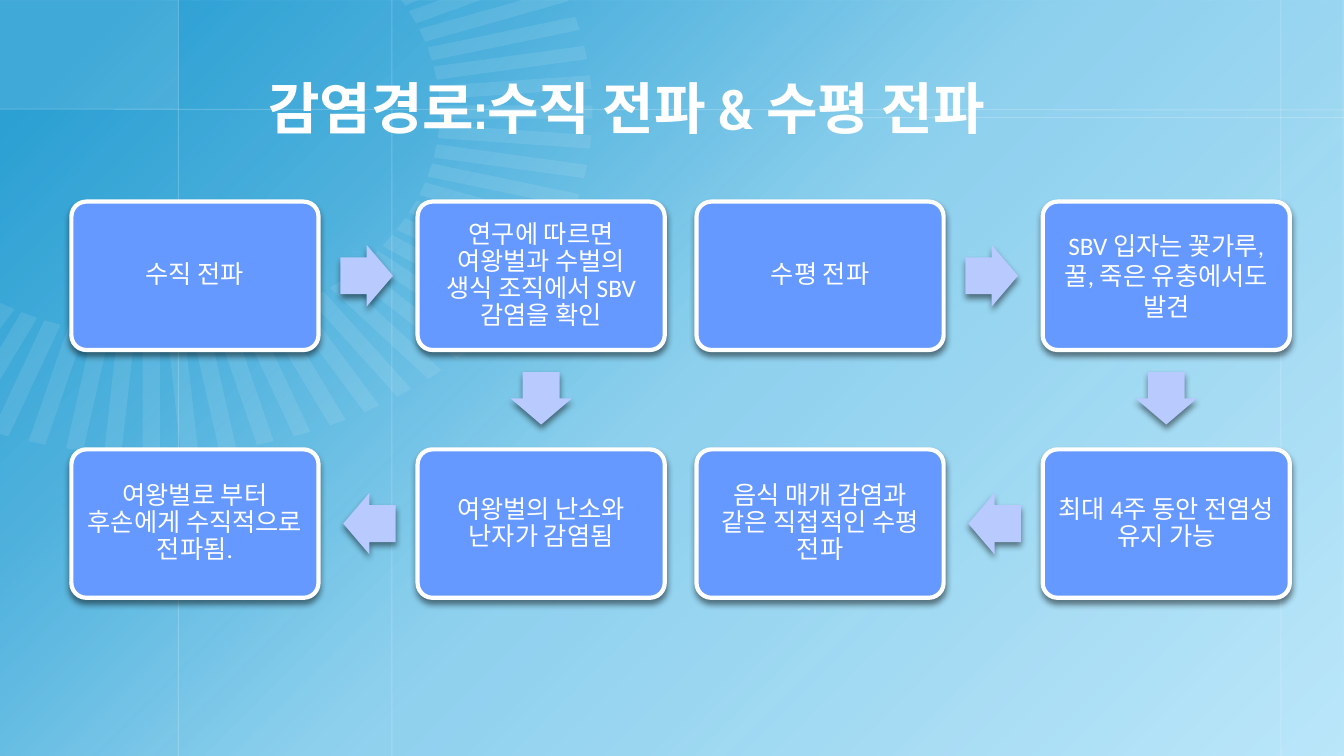
from math import cos, radians, sin

from lxml import etree
from pptx import Presentation
from pptx.dml.color import RGBColor
from pptx.enum.shapes import MSO_CONNECTOR, MSO_SHAPE
from pptx.enum.text import MSO_ANCHOR, PP_ALIGN
from pptx.oxml import parse_xml
from pptx.oxml.ns import nsdecls, qn
from pptx.util import Pt

RECT = MSO_SHAPE.RECTANGLE
CARD = MSO_SHAPE.ROUNDED_RECTANGLE
ARROW = MSO_SHAPE.RIGHT_ARROW
STRAIGHT = MSO_CONNECTOR.STRAIGHT
MIDDLE = MSO_ANCHOR.MIDDLE
CENTER = PP_ALIGN.CENTER
LEFT = PP_ALIGN.LEFT

WHITE = RGBColor(0xFF, 0xFF, 0xFF)
SKY = RGBColor(0xBC, 0xE7, 0xFA)
DEEP_BLUE = RGBColor(0x0F, 0x92, 0xCC)
RAY_TINT = RGBColor(0xF2, 0xFA, 0xFE)
CARD_BLUE = RGBColor(0x66, 0x99, 0xFF)
ARROW_BLUE = RGBColor(0xB8, 0xCA, 0xFF)

WIDTH, HEIGHT = 960, 540
CARD_W, CARD_H = 176.5, 106
ARROW_W, ARROW_H = 37.5, 44
COLUMN_STEP, ROW_STEP = 247.3, 177
TOP = 144

TITLE = "감염경로:수직 전파 & 수평 전파"
# Each route runs clockwise: top left, top right, bottom right, bottom left.
ROUTES = [
    (51, ["수직 전파",
          "연구에 따르면 여왕벌과 수벌의 생식 조직에서 SBV 감염을 확인",
          "여왕벌의 난소와 난자가 감염됨",
          "여왕벌로 부터 후손에게 수직적으로 전파됨."]),
    (497.5, ["수평 전파",
             "SBV 입자는 꽃가루, 꿀, 죽은 유충에서도 발견",
             "최대 4주 동안 전염성 유지 가능",
             "음식 매개 감염과 같은 직접적인 수평 전파"]),
]
ROOMY_CARD = ROUTES[1][1][1]


def set_alpha(sp, percent):
    color = sp.element.spPr.find(".//" + qn("a:srgbClr"))
    etree.SubElement(color, qn("a:alpha")).set("val", str(percent * 1000))


def clip(points, axis):
    """Cut a polygon off where the coordinate on the axis is negative."""
    kept = []
    for a, b in zip(points, points[1:] + points[:1]):
        if a[axis] >= 0:
            kept.append(a)
        if (a[axis] >= 0) != (b[axis] >= 0):
            t = a[axis] / (a[axis] - b[axis])
            kept.append(tuple(p + t * (q - p) for p, q in zip(a, b)))
    return kept


class Board:
    """Holds the current slide and the style of its elements."""

    title_font, body_font = "Cabin", "Calibri"
    title_size, body_size = 40, 18

    def __init__(self, slide):
        self.slide = slide
        self.shapes = slide.shapes

    def paint(self, sp, color, alpha=None):
        sp.shadow.inherit = False
        sp.fill.solid()
        sp.fill.fore_color.rgb = color
        sp.line.fill.background()
        if alpha:
            set_alpha(sp, alpha)

    def shape(self, kind, x, y, w, h, color, alpha=None):
        sp = self.shapes.add_shape(kind, Pt(x), Pt(y), Pt(w), Pt(h))
        self.paint(sp, color, alpha)
        return sp

    def gradient(self, stops):
        """Cover the slide with a diagonal fade of (position, opacity) stops."""
        sp = self.shape(RECT, 0, 0, WIDTH, HEIGHT, DEEP_BLUE)
        marks = "".join(
            f'<a:gs pos="{pos * 1000}"><a:srgbClr val="{DEEP_BLUE}">'
            f'<a:alpha val="{alpha * 1000}"/></a:srgbClr></a:gs>'
            for pos, alpha in stops)
        spPr = sp.element.spPr
        spPr.replace(spPr.find(qn("a:solidFill")), parse_xml(
            f'<a:gradFill {nsdecls("a")} rotWithShape="1"><a:gsLst>{marks}</a:gsLst>'
            '<a:lin ang="2700000" scaled="0"/></a:gradFill>'))

    def guide(self, x1, y1, x2, y2):
        line = self.shapes.add_connector(STRAIGHT, Pt(x1), Pt(y1), Pt(x2), Pt(y2))
        line.line.color.rgb = WHITE
        line.line.width = Pt(0.75)
        set_alpha(line, 20)
        etree.SubElement(line.element.spPr, qn("a:effectLst"))

    def ray(self, angle):
        """Draw one bar of the elliptical fan, cut at the slide's edges."""
        c, s = cos(radians(angle)), sin(radians(angle))
        corners = [(1, -0.03), (1.53, -0.03), (1.53, 0.03), (1, 0.03)]
        points = [(108 + 206 * (r * c - d * s), 80 + 160 * (r * s + d * c))
                  for r, d in corners]
        points = [(Pt(x), Pt(y)) for x, y in clip(clip(points, 0), 1)]
        builder = self.shapes.build_freeform(*points[0], scale=1.0)
        builder.add_line_segments(points[1:], close=True)
        self.paint(builder.convert_to_shape(), RAY_TINT, 10)

    def set_text(self, tf, text, font, size, align, bold=False):
        tf.text = text
        tf.word_wrap = True
        tf.vertical_anchor = MIDDLE
        p = tf.paragraphs[0]
        p.alignment = align
        f = p.runs[0].font
        f.name, f.size, f.bold = font, Pt(size), bold
        f.color.rgb = WHITE
        return p

    def title(self, text, x, y, w, h):
        sp = self.shapes.title
        sp.left, sp.top, sp.width, sp.height = Pt(x), Pt(y), Pt(w), Pt(h)
        sp.element.getparent().append(sp.element)  # bring in front of the backdrop
        self.set_text(sp.text_frame, text, self.title_font, self.title_size, LEFT, True)

    def drop_shadow(self, sp):
        effects = sp.element.spPr.find(qn("a:effectLst"))
        effects.append(parse_xml(
            f'<a:outerShdw {nsdecls("a")} blurRad="{Pt(4.5)}" dist="{Pt(3)}" '
            'dir="5400000" rotWithShape="0"><a:srgbClr val="000000">'
            '<a:alpha val="48000"/></a:srgbClr></a:outerShdw>'))

    def card(self, text, x, y, spacing):
        sp = self.shape(CARD, x, y, CARD_W, CARD_H, CARD_BLUE)
        sp.adjustments[0] = 0.1
        sp.line.color.rgb = WHITE
        sp.line.width = Pt(3)
        self.drop_shadow(sp)
        tf = sp.text_frame
        tf.margin_left = tf.margin_right = tf.margin_top = tf.margin_bottom = Pt(8)
        p = self.set_text(tf, text, self.body_font, self.body_size, CENTER)
        p.line_spacing = spacing

    def arrow(self, cx, cy, rotation):
        sp = self.shape(ARROW, cx - ARROW_W / 2, cy - ARROW_H / 2,
                        ARROW_W, ARROW_H, ARROW_BLUE)
        sp.adjustments[0], sp.adjustments[1] = 0.6, 0.5
        sp.rotation = rotation
        self.drop_shadow(sp)

    def route(self, left, steps):
        right, bottom = left + COLUMN_STEP, TOP + ROW_STEP
        corners = [(left, TOP), (right, TOP), (right, bottom), (left, bottom)]
        for text, (x, y) in zip(steps, corners):
            self.card(text, x, y, 1.0 if text == ROOMY_CARD else 0.9)
        gap_x = left + (COLUMN_STEP + CARD_W) / 2
        gap_y = TOP + (ROW_STEP + CARD_H) / 2
        self.arrow(gap_x - 1, TOP + CARD_H / 2, 0)
        self.arrow(right + CARD_W / 2, gap_y - 1, 90)
        self.arrow(gap_x + 1, bottom + CARD_H / 2, 180)


def main():
    prs = Presentation()
    prs.slide_width, prs.slide_height = Pt(WIDTH), Pt(HEIGHT)
    slide = prs.slides.add_slide(prs.slide_layouts[5])
    slide.background.fill.solid()
    slide.background.fill.fore_color.rgb = SKY

    board = Board(slide)
    board.gradient([(6, 83), (26, 63), (50, 27), (100, 0)])
    board.shape(RECT, 0, 0, 127.5, 78, WHITE, 10)
    for x in (127.5, 915, 280):
        board.guide(x, 0, x, HEIGHT)
    board.guide(0, 78, WIDTH, 78.5)
    board.guide(607.5, 84, WIDTH, 84)
    for angle in range(-30, 121, 5):
        board.ray(angle)

    board.title(TITLE, 184.5, 37.5, 784, 78)
    for left, steps in ROUTES:
        board.route(left, steps)
    prs.save("out.pptx")


if __name__ == "__main__":
    main()
